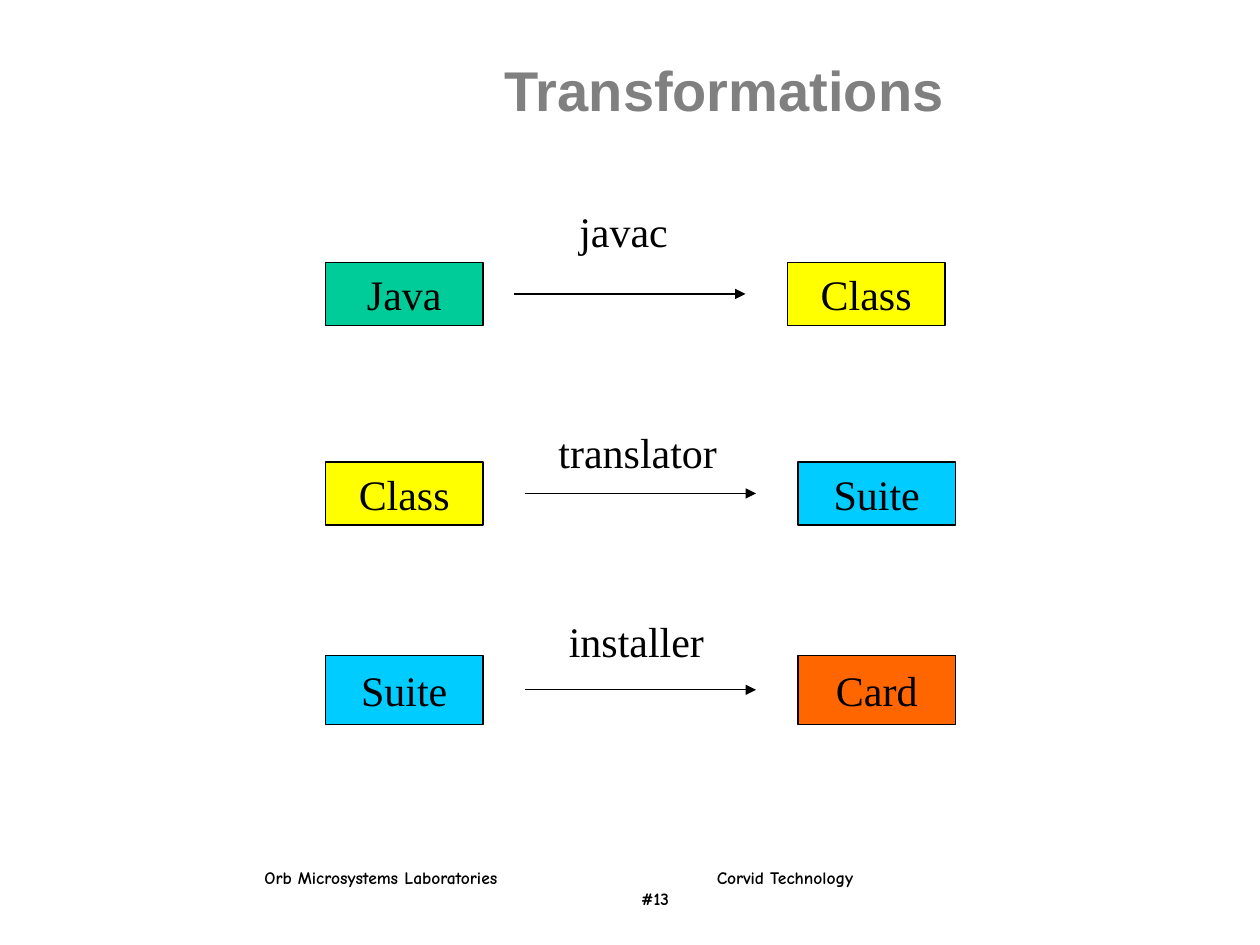
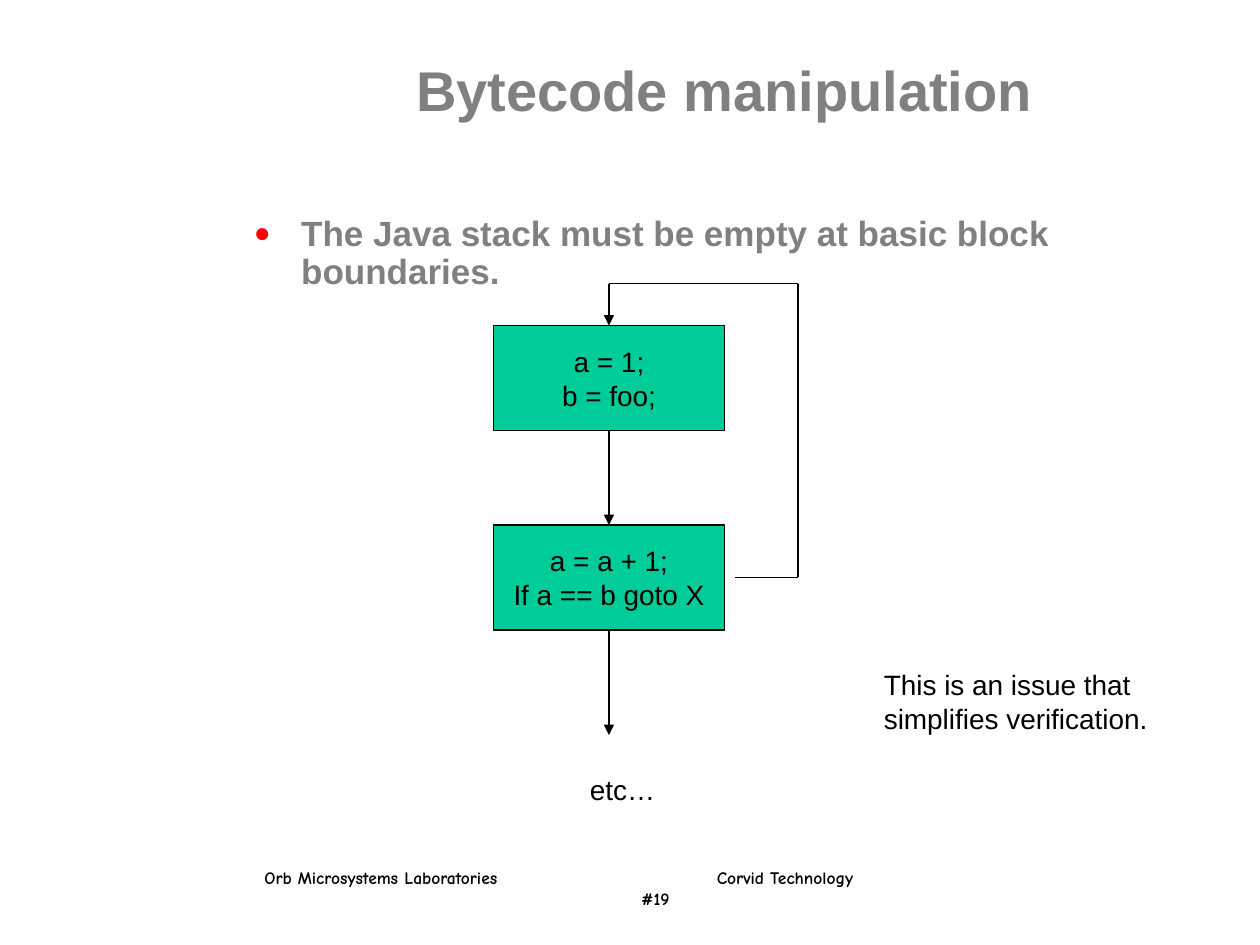
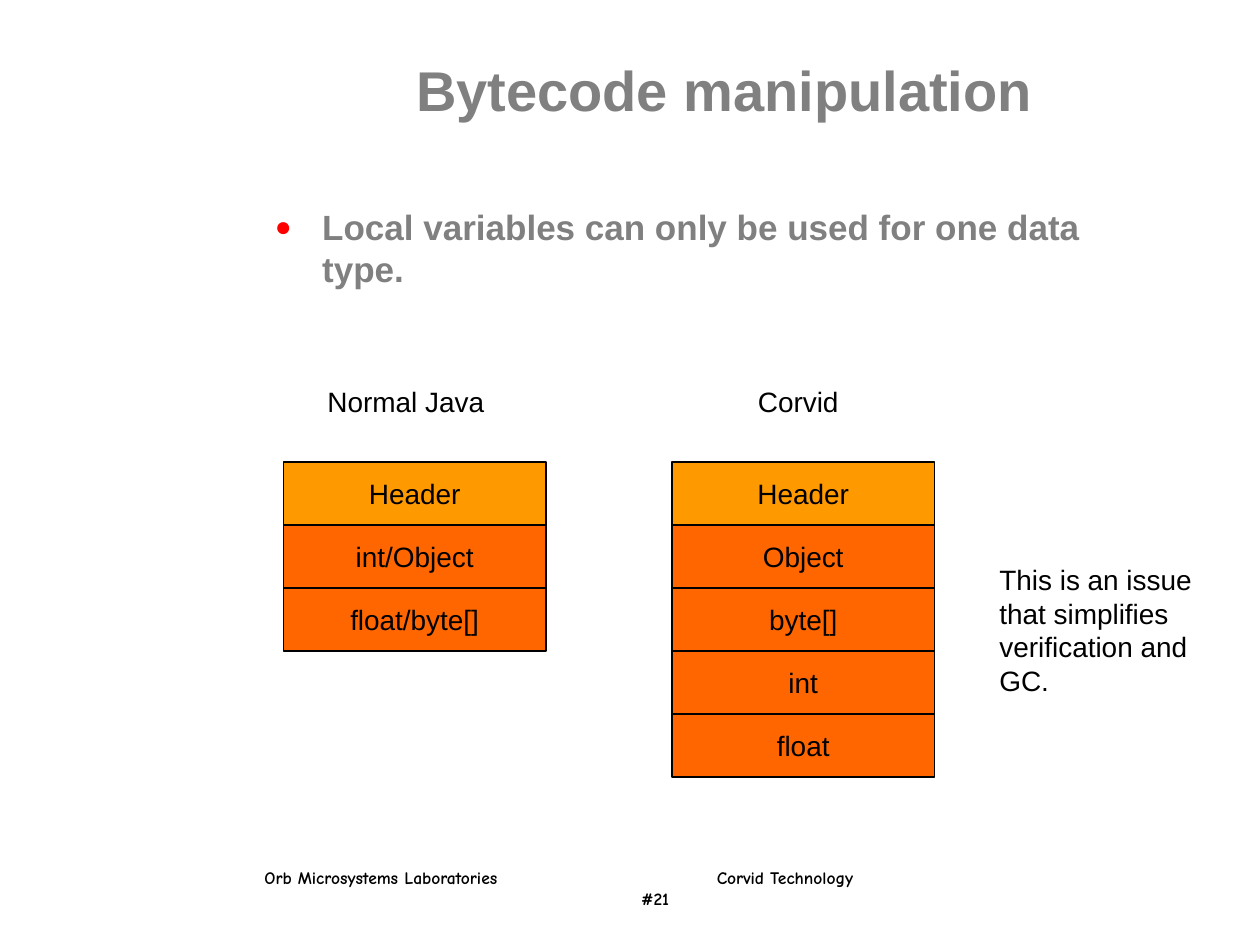
"""Builds three slides on code transformation, placed on a grid of 120 columns by 90 rows."""
from lxml import etree
from pptx import Presentation
from pptx.dml.color import RGBColor
from pptx.enum.shapes import MSO_CONNECTOR, MSO_SHAPE
from pptx.enum.text import MSO_ANCHOR, PP_ALIGN
from pptx.oxml.ns import qn
from pptx.util import Inches, Pt

RECTANGLE = MSO_SHAPE.RECTANGLE
STRAIGHT = MSO_CONNECTOR.STRAIGHT
LEFT, CENTER = PP_ALIGN.LEFT, PP_ALIGN.CENTER
TOP, MIDDLE = MSO_ANCHOR.TOP, MSO_ANCHOR.MIDDLE
TOP_SIDE, BOTTOM_SIDE = 0, 2

WIDTH, HEIGHT = Inches(10), Inches(7.5)
COLUMN, ROW = WIDTH / 120, HEIGHT / 90

COLORS = {
    "black": "000000",
    "gray": "808080",
    "red": "FF0000",
    "green": "00CC99",
    "yellow": "FFFF00",
    "blue": "00CCFF",
    "orange": "FF6600",
    "amber": "FF9900",
}
SANS, SERIF, COMIC = "Arial", "Times New Roman", "Comic Neue"


def color(name):
    """Return the named colour."""
    return RGBColor.from_string(COLORS[name])


def grid(column, row):
    """Turn a grid position or size into slide lengths."""
    return round(column * COLUMN), round(row * ROW)


def add_xml(parent, tag, **attributes):
    """Append a drawing element to a parent element."""
    return etree.SubElement(parent, qn(tag), attributes)


def style_font(para, size, face, ink="black", bold=False):
    """Set the font of a whole paragraph."""
    para.font.size, para.font.name, para.font.bold = Pt(size), face, bold
    para.font.color.rgb = color(ink)


def write(shape, lines, size, face, align=LEFT, anchor=TOP, wrap=False, ink="black", bold=False):
    """Write one paragraph per line into a shape."""
    frame = shape.text_frame
    frame.word_wrap, frame.vertical_anchor = wrap, anchor
    frame.text = "\n".join(lines)
    for para in frame.paragraphs:
        para.alignment = align
        style_font(para, size, face, ink, bold)


def add_text(page, place, size_on_grid, lines, size=16, face=SANS, **style):
    """Add a text box on the grid."""
    box = page.shapes.add_textbox(*grid(*place), *grid(*size_on_grid))
    write(box, lines, size, face, **style)


def add_box(page, place, size_on_grid, lines, fill, size=16, face=SANS):
    """Add an outlined rectangle with centred text."""
    box = page.shapes.add_shape(RECTANGLE, *grid(*place), *grid(*size_on_grid))
    box.shadow.inherit = False
    box.fill.solid()
    box.fill.fore_color.rgb = color(fill)
    box.line.color.rgb = color("black")
    box.line.width = Pt(0.75)
    write(box, lines, size, face, align=CENTER, anchor=MIDDLE)
    return box


def add_line(page, start, end, arrow=False):
    """Add a thin straight line, with an arrowhead at its end if wanted."""
    line = page.shapes.add_connector(STRAIGHT, *grid(*start), *grid(*end))
    line.line.color.rgb = color("black")
    line.line.width = Pt(0.75)
    if arrow:
        add_xml(line.line._get_or_add_ln(), "a:tailEnd", type="triangle")
    add_xml(line._element.spPr, "a:effectLst")
    return line


def add_footer(page, number):
    """Add the two footer lines, spaced by tab stops."""
    box = page.shapes.add_textbox(*grid(24, 82), *grid(75.5, 5.3))
    frame = box.text_frame
    frame.word_wrap = True
    frame.text = f"Orb Microsystems Laboratories\tCorvid Technology\n\t#{number}"
    for para, stop in zip(frame.paragraphs, (3.59, 2.99)):
        tabs = add_xml(para._p.get_or_add_pPr(), "a:tabLst")
        add_xml(tabs, "a:tab", pos=str(Inches(stop)), algn="l")
        style_font(para, 10, COMIC, bold=True)


def add_bullet(page, place, height, text, spacing=None):
    """Add the bold statement with a red bullet."""
    box = page.shapes.add_textbox(*grid(*place), *grid(87, height))
    frame = box.text_frame
    frame.word_wrap = True
    para = frame.paragraphs[0]
    para.text = text
    para.line_spacing, para.space_before = spacing, Pt(5)
    properties = para._p.get_or_add_pPr()
    indent = Pt(27)
    properties.set("marL", str(indent))
    properties.set("indent", str(-indent))
    add_xml(add_xml(properties, "a:buClr"), "a:srgbClr", val=COLORS["red"])
    add_xml(properties, "a:buSzPct", val="80000")
    add_xml(properties, "a:buFont", typeface=SERIF)
    add_xml(properties, "a:buChar", char="●")
    style_font(para, 20, SANS, "gray", True)


def add_page(deck, title, number):
    """Add a page with its title and footer."""
    page = deck.slides.add_slide(deck.slide_layouts[6])
    add_footer(page, number)
    add_text(page, (24, 5), (90, 7), [title], 32, align=CENTER, anchor=MIDDLE,
             wrap=True, ink="gray", bold=True)
    return page


def add_step(page, top, height, source, target, target_left, tool, tool_place, tool_width):
    """Add one transformation: source box, arrow with its tool, target box."""
    for left, (name, fill) in ((31, source), (target_left, target)):
        add_box(page, (left, top), (15, height), [name], fill, 24, SERIF)
    middle, arrow_end = top + height / 2, target_left - 4
    add_line(page, (arrow_end - 22, middle), (arrow_end, middle), arrow=True)
    add_text(page, tool_place, (tool_width, 6), [tool], 24, SERIF)


def add_stack(page, left, cells):
    """Add a frame layout: a header cell above the variable cells."""
    for index, name in enumerate(cells):
        fill = "orange" if index else "amber"
        add_box(page, (left, 44 + 6 * index), (25, 6), [name], fill)


def build_transformations(deck):
    """Build the page on the steps from source to card."""
    page = add_page(deck, "Transformations", 13)
    java, class_file = ("Java", "green"), ("Class", "yellow")
    suite, card = ("Suite", "blue"), ("Card", "orange")
    add_step(page, 25, 6, java, class_file, 75, "javac", (54, 19), 11)
    add_step(page, 44, 6, class_file, suite, 76, "translator", (52, 40), 17.6)
    add_step(page, 62.4, 6.6, suite, card, 76, "installer", (53, 58), 15.4)


def build_basic_blocks(deck):
    """Build the page on the stack at block boundaries."""
    page = add_page(deck, "Bytecode manipulation", 19)
    add_bullet(page, (23, 20), 9, "The Java stack must be empty at basic block boundaries.", 0.9)
    first = add_box(page, (47, 31), (22, 10), ["a = 1;", "b = foo;"], "green")
    second = add_box(page, (47, 50), (22, 10), ["a = a + 1;", "If a == b goto X"], "green")
    fall_through = add_line(page, (58, 41), (58, 50), arrow=True)
    fall_through.begin_connect(first, BOTTOM_SIDE)
    fall_through.end_connect(second, TOP_SIDE)
    add_line(page, (58, 60), (58, 70), arrow=True).begin_connect(second, BOTTOM_SIDE)
    add_line(page, (58, 27), (58, 31), arrow=True).end_connect(first, TOP_SIDE)
    loop = [(58, 27), (76, 27), (76, 55), (70, 55)]
    for start, end in zip(loop, loop[1:]):
        add_line(page, start, end)
    add_text(page, (55, 73), (9, 4.4), ["etc…"])
    add_text(page, (83, 63), (27.6, 7.7), ["This is an issue that", "simplifies verification."])


def build_local_variables(deck):
    """Build the page on one data type per local variable."""
    page = add_page(deck, "Bytecode manipulation", 21)
    add_bullet(page, (25, 19), 10, "Local variables can only be used for one data type.")
    add_stack(page, 27, ["Header", "int/Object", "float/byte[]"])
    add_stack(page, 64, ["Header", "Object", "byte[]", "int", "float"])
    add_text(page, (30, 36), (17.4, 4.4), ["Normal Java"])
    add_text(page, (71, 36), (11.9, 4.4), ["Corvid"])
    add_text(page, (94, 53), (21, 14),
             ["This is an issue that simplifies", "verification and GC."], wrap=True)


def main():
    """Build the deck and save it."""
    deck = Presentation()
    deck.slide_width, deck.slide_height = WIDTH, HEIGHT
    build_transformations(deck)
    build_basic_blocks(deck)
    build_local_variables(deck)
    deck.save("out.pptx")


if __name__ == "__main__":
    main()
